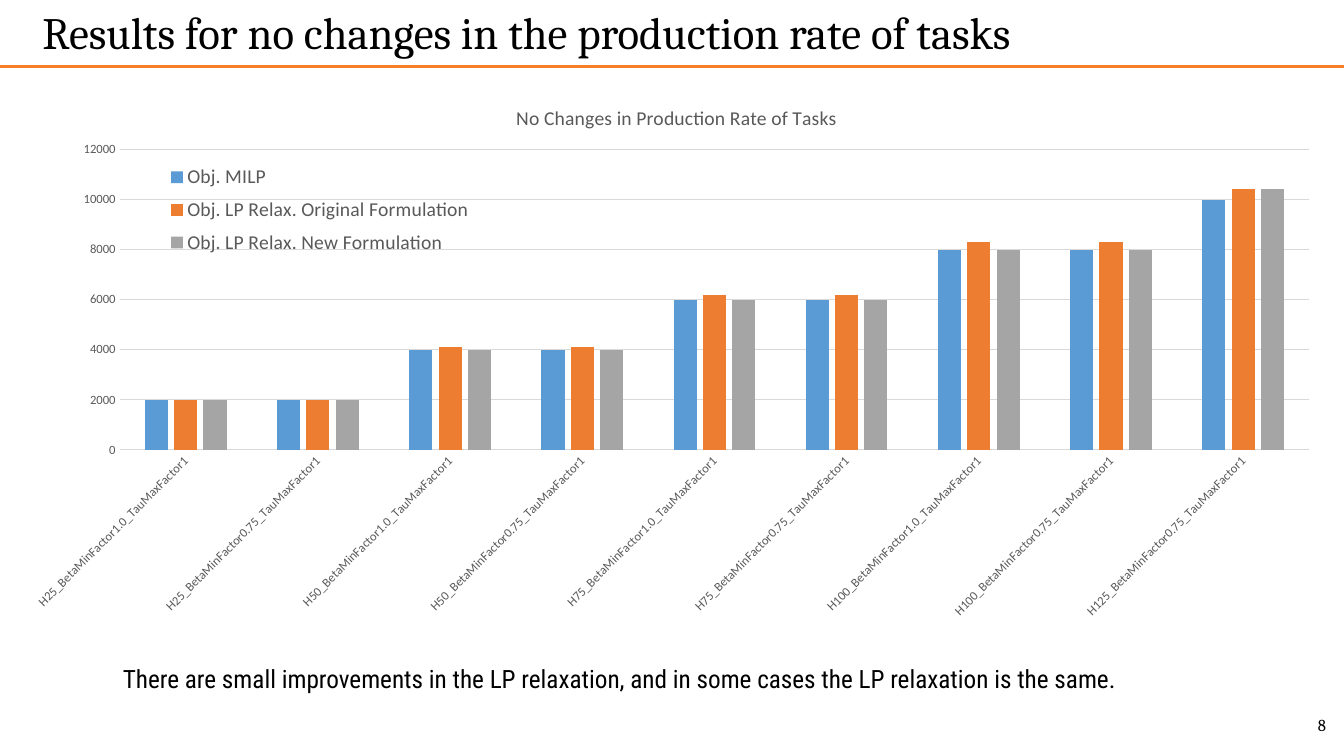
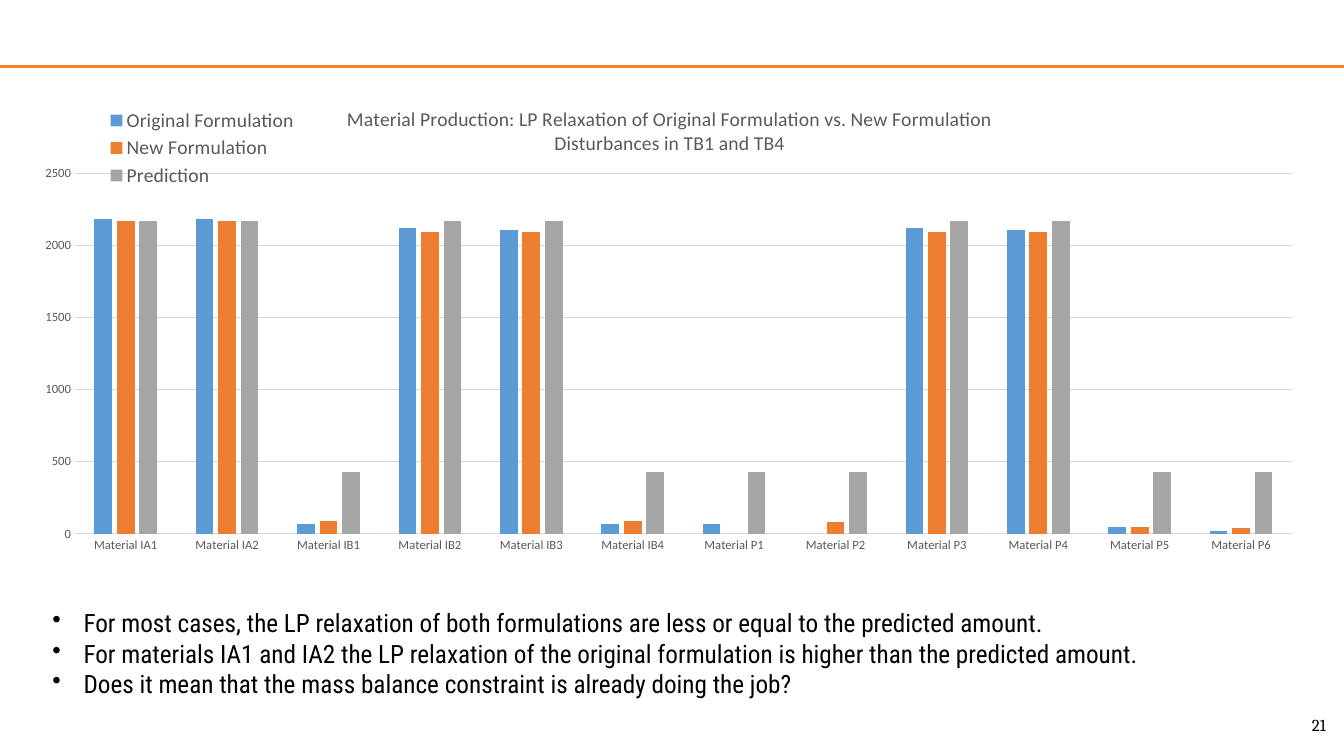
import pptx
import pptx.chart.data
import pptx.dml.color
import pptx.enum.chart
import pptx.enum.shapes
import pptx.enum.text
import pptx.oxml
import pptx.oxml.ns
import pptx.util
from lxml import etree

Inches, Pt = pptx.util.Inches, pptx.util.Pt
qn = pptx.oxml.ns.qn
ALIGN = pptx.enum.text.PP_ALIGN
ANCHOR = pptx.enum.text.MSO_ANCHOR
TICK = pptx.enum.chart.XL_TICK_MARK

# Shared look
BLACK, GREY, GRID, ACCENT = "000000", "595959", "D9D9D9", "F58025"
SERIES_COLORS = ["5B9BD5", "ED7D31", "A5A5A5"]
HEAD_FONT, BODY_FONT, CHART_FONT = "Cambria", "Roboto Condensed", "Calibri"
TITLE_ONLY, BLANK = 5, 6


def rgb(hex_color):
    return pptx.dml.color.RGBColor.from_string(hex_color)


def set_font(font, size, color, name):
    font.size, font.name, font.bold = Pt(size), name, False
    font.color.rgb = rgb(color)


def write(frame, lines, size=18, color=BLACK, font=BODY_FONT, align=ALIGN.LEFT,
          anchor=ANCHOR.TOP, bullet=None, line_spacing=None, margin=None):
    """Fill a text frame with one paragraph per line."""
    frame.word_wrap = True
    frame.auto_size = pptx.enum.text.MSO_AUTO_SIZE.NONE
    frame.vertical_anchor = anchor
    if margin is not None:
        frame.margin_left = frame.margin_right = Inches(margin)
        frame.margin_top = frame.margin_bottom = Inches(margin)
    for i, line in enumerate(lines):
        paragraph = frame.paragraphs[0] if i == 0 else frame.add_paragraph()
        paragraph.alignment = align
        if line_spacing:
            paragraph.line_spacing = line_spacing
        run = paragraph.add_run()
        run.text = line
        set_font(run.font, size, color, font)
        if bullet:
            props = paragraph._p.get_or_add_pPr()
            props.set("marL", str(Inches(0.31)))
            props.set("indent", str(-Inches(0.31)))
            etree.SubElement(props, qn("a:buChar")).set("char", bullet)


def add_text(slide, box, lines, **text_format):
    label = slide.shapes.add_textbox(*map(Inches, box))
    write(label.text_frame, lines, **text_format)


def add_frame(prs, number, title=None):
    """Start a slide with the accent rule, page number and optional title."""
    slide = prs.slides.add_slide(prs.slide_layouts[TITLE_ONLY if title else BLANK])
    rule = slide.shapes.add_connector(
        pptx.enum.shapes.MSO_CONNECTOR.STRAIGHT,
        Inches(-0.02), Inches(0.66), Inches(13.33), Inches(0.66))
    rule.line.color.rgb = rgb(ACCENT)
    rule.line.width = Pt(2)
    etree.SubElement(rule._element.spPr, qn("a:effectLst"))
    add_text(slide, (12.35, 6.99, 0.9, 0.4), [str(number)], size=12,
             font=HEAD_FONT, align=ALIGN.RIGHT, anchor=ANCHOR.MIDDLE)
    if title:
        heading = slide.shapes.title
        heading.left, heading.top = Inches(0.42), Inches(0.11)
        heading.width, heading.height = Inches(10.55), Inches(0.48)
        write(heading.text_frame, [title], size=32, font=HEAD_FONT,
              anchor=ANCHOR.MIDDLE, line_spacing=0.9, margin=0)
    return slide


def set_layout(part, index, x, y, w=None, h=None, inner=False):
    """Fix a chart part at fractions of the chart's box."""
    old = part.find(qn("c:layout"))
    if old is not None:
        part.remove(old)
    layout = etree.Element(qn("c:layout"))
    manual = etree.SubElement(layout, qn("c:manualLayout"))
    settings = [("layoutTarget", "inner" if inner else None),
                ("xMode", "edge"), ("yMode", "edge"),
                ("x", x), ("y", y), ("w", w), ("h", h)]
    for tag, value in settings:
        if value is not None:
            etree.SubElement(manual, qn("c:" + tag)).set("val", str(value))
    part.insert(index, layout)


def add_column_chart(slide, box, title, categories, series, top, step,
                     title_at, legend_at, plot_at, label_angle=None):
    data = pptx.chart.data.CategoryChartData()
    data.categories = categories
    for name, values in series.items():
        data.add_series(name, values)
    chart = slide.shapes.add_chart(
        pptx.enum.chart.XL_CHART_TYPE.COLUMN_CLUSTERED,
        *map(Inches, box), data).chart
    set_font(chart.font, 10, BLACK, CHART_FONT)

    # Columns
    plot = chart.plots[0]
    plot.gap_width, plot.overlap, plot.vary_by_categories = 219, -27, False
    for columns, color in zip(plot.series, SERIES_COLORS):
        columns.format.fill.solid()
        columns.format.fill.fore_color.rgb = rgb(color)
    set_layout(chart._chartSpace.chart.plotArea, 0, *plot_at, inner=True)

    # Axes
    names, amounts = chart.category_axis, chart.value_axis
    for axis in (names, amounts):
        axis.major_tick_mark = axis.minor_tick_mark = TICK.NONE
        set_font(axis.tick_labels.font, 9, GREY, CHART_FONT)
    amounts.minimum_scale, amounts.maximum_scale = 0, top
    amounts.major_unit = step
    amounts.format.line.fill.background()
    for line in (names.format.line, amounts.major_gridlines.format.line):
        line.color.rgb = rgb(GRID)
        line.width = Pt(0.75)
    if label_angle is not None:
        body = names._element.find(qn("c:txPr")).find(qn("a:bodyPr"))
        body.set("rot", str(label_angle * 60000))
        body.set("vert", "horz")

    # Title and legend
    chart.has_title = True
    write(chart.chart_title.text_frame, title, size=14, color=GREY,
          font=CHART_FONT, align=ALIGN.CENTER)
    set_layout(chart.chart_title._element, 1, *title_at)
    chart.has_legend = True
    chart.legend.position = pptx.enum.chart.XL_LEGEND_POSITION.BOTTOM
    chart.legend.include_in_layout = True
    set_font(chart.legend.font, 14, GREY, CHART_FONT)
    set_layout(chart.legend._element, 1, *legend_at)


def production_rate_slide(prs):
    slide = add_frame(prs, 8, "Results for no changes in the production rate of tasks")
    cases = [(h, beta) for h in (25, 50, 75, 100) for beta in ("1.0", "0.75")]
    cases.append((125, "0.75"))
    add_column_chart(
        slide, (0.08, 0.76, 13.17, 5.88),
        ["No Changes in Production Rate of Tasks"],
        [f"H{h}_BetaMinFactor{beta}_TauMaxFactor1" for h, beta in cases],
        {"Obj. MILP": [2000, 2000, 4000, 4000, 6000, 6000, 8000, 8000, 10000],
         "Obj. LP Relax. Original Formulation":
             [2000, 2000, 4100, 4100, 6200, 6200, 8300, 8300, 10400],
         "Obj. LP Relax. New Formulation":
             [2000, 2000, 4000, 4000, 6000, 6000, 8000, 8000, 10400]},
        top=12000, step=2000, title_at=(0.38, 0.04),
        legend_at=(0.11, 0.135, 0.25, 0.18),
        plot_at=(0.084, 0.123, 0.896, 0.507), label_angle=-45)
    add_text(slide, (1.12, 6.53, 11.31, 0.4),
             ["There are small improvements in the LP relaxation, "
              "and in some cases the LP relaxation is the same."])


def material_slide(prs):
    slide = add_frame(prs, 21)
    materials = ["IA1", "IA2", "IB1", "IB2", "IB3", "IB4",
                 "P1", "P2", "P3", "P4", "P5", "P6"]
    add_column_chart(
        slide, (0.19, 0.81, 12.88, 5.17),
        ["Material Production: LP Relaxation of Original Formulation vs. New Formulation",
         "Disturbances in TB1 and TB4"],
        [f"Material {material}" for material in materials],
        {"Original Formulation":
             [2180, 2180, 70, 2120, 2110, 70, 70, 0, 2120, 2110, 50, 20],
         "New Formulation":
             [2170, 2170, 90, 2090, 2090, 90, 0, 80, 2090, 2090, 50, 40],
         "Prediction":
             [2170, 2170, 430, 2170, 2170, 430, 430, 430, 2170, 2170, 430, 430]},
        top=2500, step=500, title_at=(0.25, 0.04),
        legend_at=(0.061, 0.045, 0.16, 0.165),
        plot_at=(0.043, 0.176, 0.937, 0.692))
    add_text(slide, (0.42, 5.98, 11.79, 1.01),
             ["For most cases, the LP relaxation of both formulations are less or "
              "equal to the predicted amount.",
              "For materials IA1 and IA2 the LP relaxation of the original "
              "formulation is higher than the predicted amount.",
              "Does it mean that the mass balance constraint is already doing the job?"],
             bullet="•")


def main():
    prs = pptx.Presentation()
    prs.slide_width, prs.slide_height = Inches(13.33), Inches(7.5)
    production_rate_slide(prs)
    material_slide(prs)
    prs.save("out.pptx")


if __name__ == "__main__":
    main()
